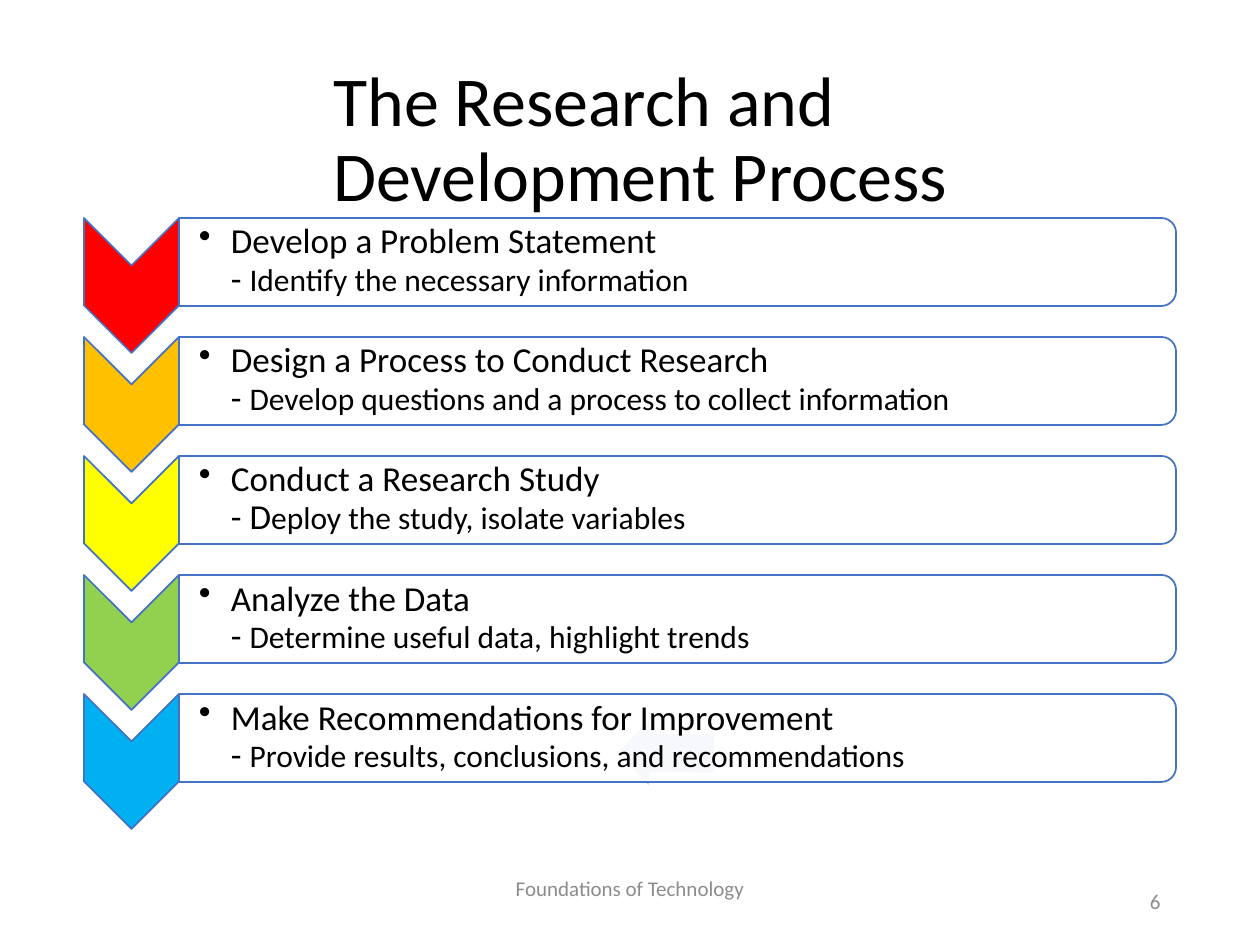
from lxml import etree
from pptx import Presentation
from pptx import util as u
from pptx.dml.color import RGBColor
from pptx.enum import shapes, text
from pptx.oxml.ns import qn

PX_PER_INCH = 126
FONT = "Calibri"
COLORS = {
    "black": "000000",
    "grey": "8C8C8C",
    "white": "FFFFFF",
    "outline": "4472C4",
    "pale arrow": "B0BCDE",
    "red": "FF0000",
    "orange": "FFC000",
    "yellow": "FFFF00",
    "green": "92D050",
    "blue": "00B0F0",
}
# Chevron colour, heading, lead-in at heading size, detail
STEPS = [
    ("red", "Develop a Problem Statement", "- ", "Identify the necessary information"),
    ("orange", "Design a Process to Conduct Research", "- ",
     "Develop questions and a process to collect information"),
    ("yellow", "Conduct a Research Study", "- D", "eploy the study, isolate variables"),
    ("green", "Analyze the Data", "- ", "Determine useful data, highlight trends"),
    ("blue", "Make Recommendations for Improvement", "- ",
     "Provide results, conclusions, and recommendations"),
]
STEP_TOP, STEP_PITCH = 218, 119
BULLET_INDENT = 32


def px(length):
    return u.Emu(round(length * 914400 / PX_PER_INCH))


def rgb(name):
    return RGBColor.from_string(COLORS[name])


def format_run(run, size, color):
    run.font.name = FONT
    run.font.size = u.Pt(size)
    run.font.color.rgb = rgb(color)


def add_shape(slide, kind, box, fill, rotation, outline=None):
    shape = slide.shapes.add_shape(kind, *map(px, box))
    shape.shadow.inherit = False
    shape.rotation = rotation
    shape.fill.solid()
    shape.fill.fore_color.rgb = rgb(fill)
    if outline:
        shape.line.color.rgb = rgb(outline)
        shape.line.width = u.Pt(1)
    else:
        shape.line.fill.background()
    return shape


def add_turned_shape(slide, kind, box, fill):
    """Add an outlined shape, turned a quarter clockwise, that covers box."""
    left, top, width, height = box
    shift = (width - height) / 2
    unturned = (left + shift, top - shift, height, width)
    return add_shape(slide, kind, unturned, fill, 90, "outline")


def set_opacity(shape, percent):
    color = shape.fill._xPr.find(qn("a:solidFill"))[0]
    etree.SubElement(color, qn("a:alpha"), val=str(percent * 1000))


def add_frame(slide, box, anchor=text.MSO_ANCHOR.MIDDLE):
    frame = slide.shapes.add_textbox(*map(px, box)).text_frame
    frame.word_wrap = True
    frame.vertical_anchor = anchor
    return frame


def add_label(slide, box, words, size, color, align, anchor=text.MSO_ANCHOR.MIDDLE):
    frame = add_frame(slide, box, anchor)
    frame.text = words
    paragraph = frame.paragraphs[0]
    paragraph.alignment = align
    format_run(paragraph.runs[0], size, color)
    return frame


def add_bullet(paragraph):
    properties = paragraph._p.get_or_add_pPr()
    properties.set("marL", str(px(BULLET_INDENT)))
    properties.set("indent", str(-px(BULLET_INDENT)))
    etree.SubElement(properties, qn("a:buChar"), char="•")


def add_step_text(slide, top, heading, lead, detail):
    frame = add_frame(slide, (179, top + 4, 993, 79))
    frame.margin_left = px(20)
    frame.margin_top = frame.margin_right = frame.margin_bottom = px(1)
    paragraph = frame.paragraphs[0]
    paragraph.text = f"{heading}\v{lead}"
    add_bullet(paragraph)
    paragraph.line_spacing = 0.9
    for run in paragraph.runs:
        format_run(run, 20, "black")
    detail_run = paragraph.add_run()
    detail_run.text = detail
    format_run(detail_run, 18, "black")


def add_step(slide, top, color, heading, lead, detail):
    add_turned_shape(slide, shapes.MSO_SHAPE.CHEVRON, (84, top, 95, 135), color)
    panel = add_turned_shape(slide, shapes.MSO_SHAPE.ROUND_2_SAME_RECTANGLE,
                             (179, top, 997, 88), "white")
    set_opacity(panel, 90)
    add_step_text(slide, top, heading, lead, detail)


def main():
    deck = Presentation()
    deck.slide_width, deck.slide_height = px(1260), px(945)
    slide = deck.slides.add_slide(deck.slide_layouts[6])

    title = add_label(slide, (321, 50, 852, 183), "The Research and Development Process",
                      40, "black", text.PP_ALIGN.LEFT)
    title.paragraphs[0].line_spacing = 0.9
    footer = add_label(slide, (417, 876, 426, 50), "Foundations of Technology",
                       12, "grey", text.PP_ALIGN.CENTER, text.MSO_ANCHOR.TOP)
    footer.margin_top = 0
    add_label(slide, (890, 876, 283, 50), "6", 12, "grey", text.PP_ALIGN.RIGHT)

    arrow = add_shape(slide, shapes.MSO_SHAPE.RIGHT_ARROW, (617, 721, 97, 64),
                      "pale arrow", 180.5)
    arrow.adjustments[0] = 0.6
    for index, step in enumerate(STEPS):
        add_step(slide, STEP_TOP + index * STEP_PITCH, *step)

    deck.save("out.pptx")


if __name__ == "__main__":
    main()
